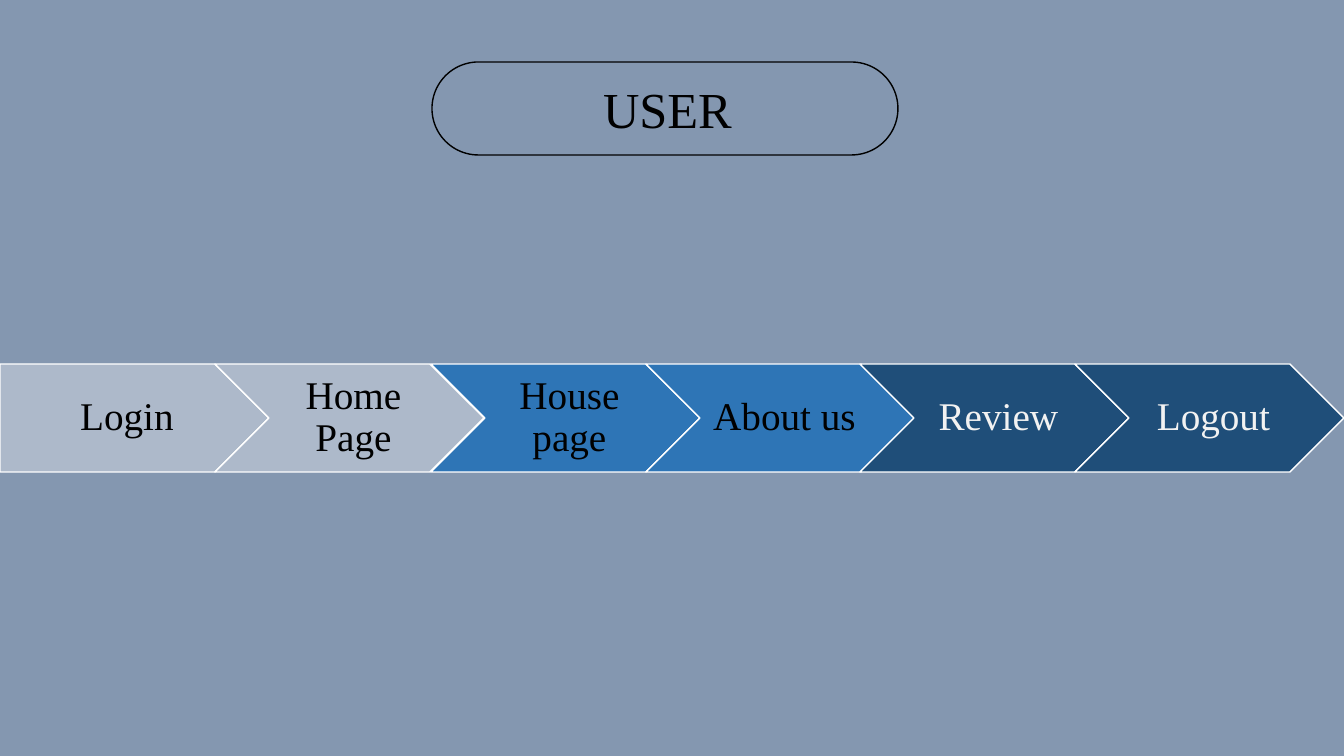
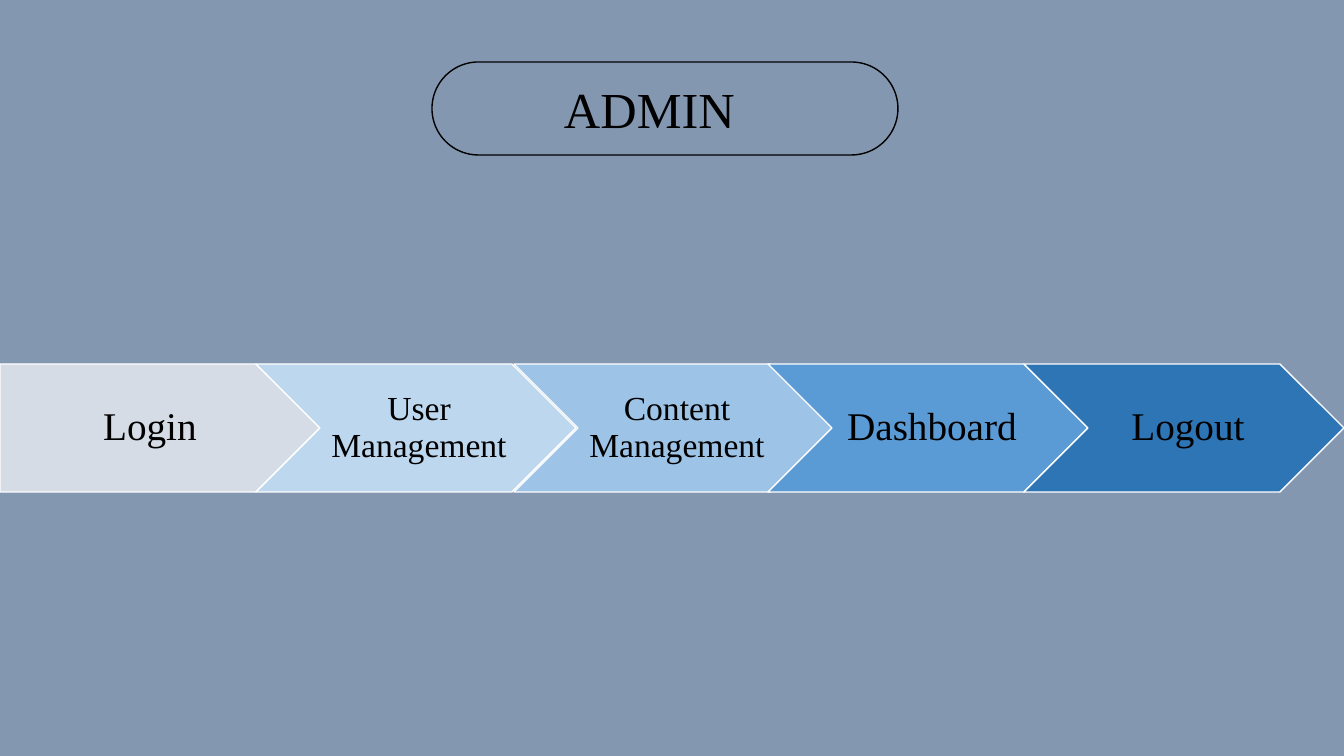
from dataclasses import dataclass

import pptx
import pptx.dml.color
import pptx.enum.shapes
import pptx.enum.text
import pptx.util

RGB = pptx.dml.color.RGBColor
SHAPE = pptx.enum.shapes.MSO_SHAPE
ALIGN = pptx.enum.text.PP_ALIGN
ANCHOR = pptx.enum.text.MSO_ANCHOR

SLATE = RGB(0x84, 0x97, 0xB0)
BLACK = RGB(0x00, 0x00, 0x00)
WHITE = RGB(0xFF, 0xFF, 0xFF)
PALE = RGB(0xF2, 0xF2, 0xF2)
MIST = RGB(0xD6, 0xDC, 0xE5)
STEEL = RGB(0xAD, 0xB9, 0xCA)
ICE = RGB(0xBD, 0xD7, 0xEE)
SKY = RGB(0x9D, 0xC3, 0xE6)
AZURE = RGB(0x5B, 0x9B, 0xD5)
BLUE = RGB(0x2E, 0x75, 0xB6)
NAVY = RGB(0x1F, 0x4E, 0x79)

FONT = "Times New Roman"
WIDTH, HEIGHT = 1344, 756
SCALE = 914400 / 100.8
TOP = 364


@dataclass(frozen=True)
class Step:
    label: str
    fill: RGB
    color: RGB = BLACK
    size: int = 28
    nudge: int = 0


@dataclass(frozen=True)
class Flow:
    title: str
    left: int
    width: int
    height: int
    steps: tuple[Step, ...]


FLOWS = (
    Flow("USER", 593, 269, 108, (
        Step("Login", STEEL),
        Step("Home Page", STEEL),
        Step("House page", BLUE, nudge=1),
        Step("About us", BLUE, nudge=1),
        Step("Review", NAVY, PALE),
        Step("Logout", NAVY, PALE),
    )),
    Flow("ADMIN", 554, 320, 128, (
        Step("Login", MIST),
        Step("User Management", ICE, size=24),
        Step("Content Management", SKY, size=24, nudge=2),
        Step("Dashboard", AZURE),
        Step("Logout", BLUE),
    )),
)


def px(value: float) -> pptx.util.Emu:
    return pptx.util.Emu(round(value * SCALE))


def write(shape, text: str, *, size: int, color: RGB = BLACK,
          align=ALIGN.CENTER, anchor=ANCHOR.MIDDLE, spacing: float = 0.9,
          inset: tuple[int, int, int, int] = (10, 5, 10, 5)) -> None:
    frame = shape.text_frame
    frame.text = text
    frame.word_wrap = True
    frame.auto_size = pptx.enum.text.MSO_AUTO_SIZE.NONE
    frame.vertical_anchor = anchor
    (frame.margin_left, frame.margin_top,
     frame.margin_right, frame.margin_bottom) = map(px, inset)
    para = frame.paragraphs[0]
    para.alignment = align
    para.line_spacing = spacing
    font = para.runs[0].font
    font.name = FONT
    font.size = pptx.util.Pt(size)
    font.color.rgb = color


def draw(shapes, kind, box: tuple[int, int, int, int], line: RGB,
         fill: RGB | None = None):
    shape = shapes.add_shape(kind, *map(px, box))
    shape.shadow.inherit = False
    if fill is None:
        shape.fill.background()
    else:
        shape.fill.solid()
        shape.fill.fore_color.rgb = fill
    shape.line.color.rgb = line
    shape.line.width = pptx.util.Pt(1)
    return shape


def head(slide, flow: Flow) -> None:
    pill = draw(slide.shapes, SHAPE.ROUNDED_RECTANGLE, (432, 62, 466, 93), BLACK)
    pill.adjustments[0] = 0.5
    title = slide.shapes.title
    title.left, title.top, title.width, title.height = map(
        px, (flow.left, 73, 222, 72))
    write(title, flow.title, size=36, align=ALIGN.LEFT, anchor=ANCHOR.TOP,
          spacing=1.0)


def chain(slide, flow: Flow) -> None:
    group = slide.shapes.add_group_shape()
    pitch = (WIDTH - flow.width) / (len(flow.steps) - 1)
    for index, step in enumerate(flow.steps):
        kind = SHAPE.CHEVRON if index else SHAPE.PENTAGON
        left = round(index * pitch) + step.nudge
        arrow = draw(group.shapes, kind, (left, TOP, flow.width, flow.height),
                     WHITE, step.fill)
        side = round(step.size * 0.42) if index else 16
        edge = round(step.size * 0.28)
        write(arrow, step.label, size=step.size, color=step.color,
              inset=(side, edge, 4, edge))


def main() -> None:
    deck = pptx.Presentation()
    deck.slide_width, deck.slide_height = px(WIDTH), px(HEIGHT)
    back = deck.slide_master.background.fill
    back.solid()
    back.fore_color.rgb = SLATE
    layout = deck.slide_layouts.get_by_name("Title Only")
    for flow in FLOWS:
        slide = deck.slides.add_slide(layout)
        head(slide, flow)
        chain(slide, flow)
    deck.save("out.pptx")


if __name__ == "__main__":
    main()
